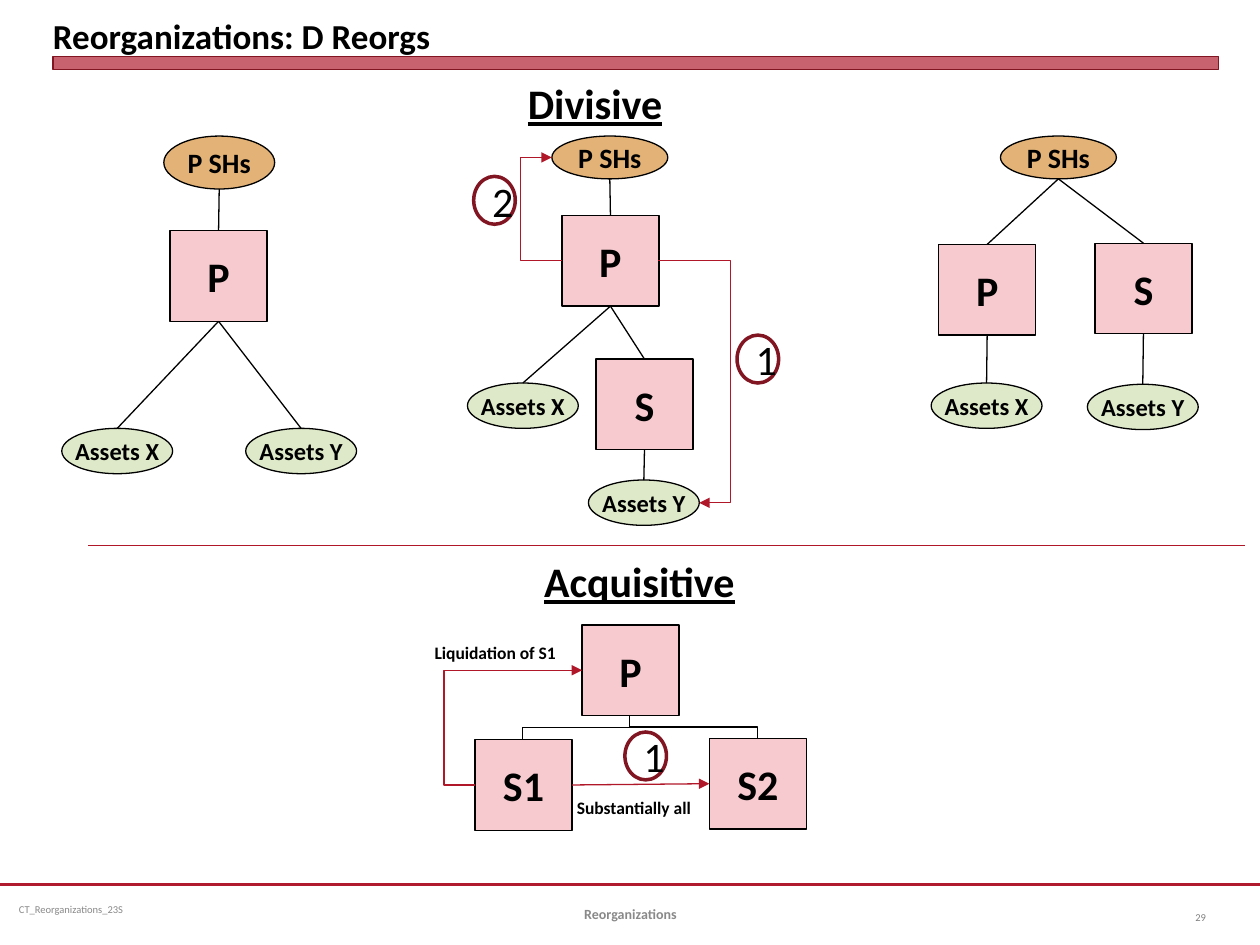
from dataclasses import dataclass
from lxml import etree
from pptx import Presentation, util as u
from pptx.dml.color import RGBColor
from pptx.enum import shapes, text
from pptx.oxml.ns import qn


@dataclass
class Theme:
    font: str = "Calibri"
    ink: str = "000000"
    red: str = "B0182A"
    rule: str = "B01C2E"
    dark: str = "821522"
    pink: str = "F7CAD0"
    sand: str = "E3B276"
    leaf: str = "DEE9C9"
    gray: str = "898989"
    page: str = "808080"
    thin: float = 0.75
    title: int = 20
    big: int = 24
    owner: int = 16
    asset: int = 14
    note: int = 10
    foot: int = 8
    tiny: int = 6


T = Theme()
CELL = u.Inches(0.1)  # the slide is a grid of 100 columns by 75 rows
RECT, OVAL = shapes.MSO_SHAPE.RECTANGLE, shapes.MSO_SHAPE.OVAL
LEFT, MID, RIGHT = text.PP_ALIGN.LEFT, text.PP_ALIGN.CENTER, text.PP_ALIGN.RIGHT
TOP, HALF, LOW = text.MSO_ANCHOR.TOP, text.MSO_ANCHOR.MIDDLE, text.MSO_ANCHOR.BOTTOM

deck = Presentation()
deck.slide_width, deck.slide_height = 100 * CELL, 75 * CELL
slide = deck.slides.add_slide(deck.slide_layouts[6])


def put(words, spot, size, form=None, fill=None, edge=T.ink, width=T.thin, ink=T.ink,
        bold=True, line=False, align=MID, anchor=HALF, wrap=False, inset=None):
    """Draw a preset shape, or a text box if form is None; spot is in grid cells."""
    area = [round(n * CELL) for n in spot]
    if form is None:
        item = slide.shapes.add_textbox(*area)
    else:
        item = slide.shapes.add_shape(form, *area)
        item.shadow.inherit = False
        item.line.color.rgb = RGBColor.from_string(edge)
        item.line.width = u.Pt(width)
        if fill:
            item.fill.solid()
            item.fill.fore_color.rgb = RGBColor.from_string(fill)
        else:
            item.fill.background()
    frame = item.text_frame
    frame.word_wrap, frame.vertical_anchor = wrap, anchor
    if inset is not None:
        frame.margin_left = frame.margin_right = u.Inches(inset)
        frame.margin_top = frame.margin_bottom = u.Inches(inset / 2)
    if words:
        para = frame.paragraphs[0]
        para.alignment = align
        run = para.add_run()
        run.text = words
        font = run.font
        font.name, font.size, font.bold, font.underline = T.font, u.Pt(size), bold, line
        font.color.rgb = RGBColor.from_string(ink)
    return item


def wire(x1, y1, x2, y2, color=T.ink, width=T.thin, bend=None, turn=0, head=False):
    """Draw a line in grid cells; bend is where an elbow turns, as a share of its width."""
    form = shapes.MSO_CONNECTOR.STRAIGHT if bend is None else shapes.MSO_CONNECTOR.ELBOW
    item = slide.shapes.add_connector(form, *[round(n * CELL) for n in (x1, y1, x2, y2)])
    item.line.color.rgb = RGBColor.from_string(color)
    item.line.width = u.Pt(width)
    props = item._element.spPr
    if bend is not None:
        geom = props.find(qn("a:prstGeom"))
        for old in geom.findall(qn("a:avLst")):
            geom.remove(old)
        etree.SubElement(etree.SubElement(geom, qn("a:avLst")), qn("a:gd"),
                         name="adj1", fmla=f"val {round(bend * 100000)}")
    if turn:
        props.find(qn("a:xfrm")).set("rot", str(turn * 60000))
    if head:
        etree.SubElement(props.find(qn("a:ln")), qn("a:tailEnd"), type="triangle")
    etree.SubElement(props, qn("a:effectLst"))
    return item


# Frame of the page
wire(0, 70.2, 100, 70.2, T.rule, 1.25)
bar = put("", (4.2, 4.5, 92.5, 1), T.tiny, RECT, T.rule, T.dark, 0)
tint = bar._element.spPr.find(qn("a:solidFill"))[0]
etree.SubElement(tint, qn("a:alpha"), val="69000")
put("Reorganizations: D Reorgs", (4.2, 0.5, 92.5, 4), T.title,
    align=LEFT, anchor=LOW, wrap=True, inset=0)
put("CT_Reorganizations_23S", (0.8, 70.2, 25.8, 4), T.tiny, ink=T.gray,
    bold=False, align=LEFT, wrap=True, inset=0.07)
put("Reorganizations", (34.2, 70.5, 31.7, 4), T.foot, ink=T.gray, wrap=True)
put("29", (91.7, 70.8, 5, 4), T.tiny, ink=T.page, bold=False, align=RIGHT, wrap=True)
wire(7, 43.3, 98.8, 43.3, T.red)

# Headings and notes
for words, spot, size, line in [
    ("Divisive", (40.9, 5.7, 12.8, 5), T.big, True),
    ("Acquisitive", (42.2, 43.6, 17.3, 5), T.big, True),
    ("Liquidation of S1", (33.5, 50.5, 11.8, 2.7), T.note, False),
    ("Substantially all", (44.8, 62.8, 11.3, 2.7), T.note, False),
]:
    put(words, spot, size, line=line, align=LEFT, anchor=TOP)

# Owners, firms and assets
kinds = {
    "owner": (OVAL, T.sand, T.owner, 9.2, 3.4),
    "first": (OVAL, T.sand, T.owner, 8.8, 4.2),
    "firm": (RECT, T.pink, T.big, 7.7, 7.2),
    "asset": (OVAL, T.leaf, T.asset, 8.8, 3.6),
}
nodes = {}
for key, kind, words, x, y in [
    ("own1", "first", "P SHs", 13, 10.8),
    ("p1", "firm", "P", 13.5, 18.3),
    ("x1", "asset", "Assets X", 4.9, 34),
    ("y1", "asset", "Assets Y", 19.5, 34),
    ("own2", "owner", "P SHs", 43.8, 10.8),
    ("p2", "firm", "P", 44.6, 17.1),
    ("x2", "asset", "Assets X", 37.1, 30.4),
    ("s2", "firm", "S", 47.3, 28.5),
    ("y2", "asset", "Assets Y", 46.7, 38.1),
    ("own3", "owner", "P SHs", 79.4, 10.8),
    ("p3", "firm", "P", 74.5, 19.4),
    ("s3", "firm", "S", 86.9, 19.3),
    ("x3", "asset", "Assets X", 73.9, 30.4),
    ("y3", "asset", "Assets Y", 86.3, 30.5),
    ("top", "firm", "P", 46.2, 49.6),
    ("sub1", "firm", "S1", 37.7, 58.7),
    ("sub2", "firm", "S2", 56.3, 58.6),
]:
    form, fill, size, w, h = kinds[kind]
    nodes[key] = put(words, (x, y, w, h), size, form, fill)

# Ownership, from the bottom of one node to the top of the next
for pair in ("own1 p1", "p1 x1", "p1 y1", "own2 p2", "p2 x2", "p2 s2", "s2 y2",
             "own3 p3", "own3 s3", "p3 x3", "s3 y3"):
    a, b = [nodes[key] for key in pair.split()]
    link = wire((a.left + a.width / 2) / CELL, (a.top + a.height) / CELL,
                (b.left + b.width / 2) / CELL, b.top / CELL)
    if a.auto_shape_type == RECT:
        link.begin_connect(a, 2)
    link.end_connect(b, 0)
wire(44.8, 53.5, 46.6, 62, bend=0.5, turn=90)
wire(49.9, 57.7, 60.1, 58.6, bend=1)

# Steps of each deal
for x1, y1, x2, y2, bend in [
    (52.2, 20.7, 55.5, 39.9, 1.75),
    (44.6, 20.7, 43.8, 12.5, 4.1),
    (37.7, 62.3, 46.2, 53.2, -0.29),
]:
    wire(x1, y1, x2, y2, T.red, bend=bend, head=True)
sale = wire(45.4, 62.3, 56.3, 62.2, T.red, head=True)
sale.begin_connect(nodes["sub1"], 3)
sale.end_connect(nodes["sub2"], 1)
for words, x, y in [("1", 58.5, 26.6), ("2", 37.6, 14), ("1", 49.6, 58.1)]:
    put(words, (x, y, 3.3, 3.8), T.big, OVAL, edge=T.dark, width=2, bold=False, wrap=True)

deck.save("out.pptx")
